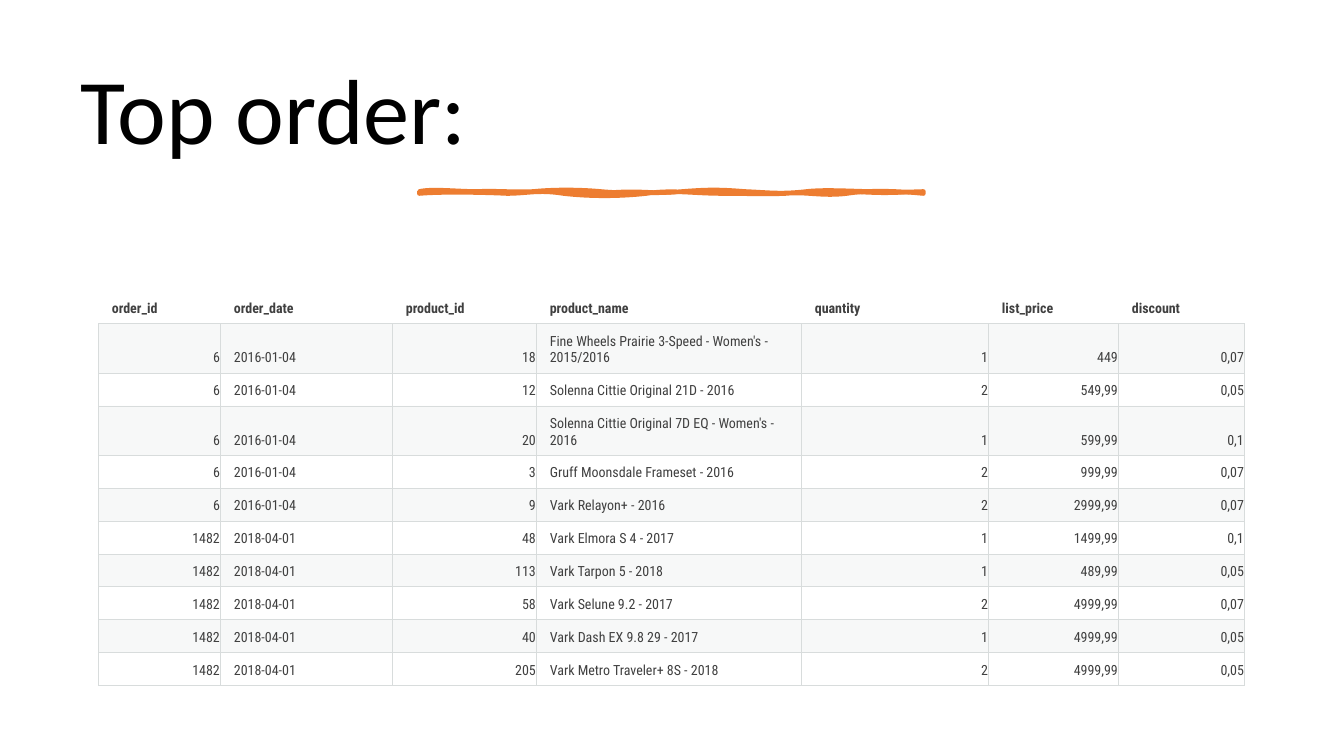
from dataclasses import dataclass

from lxml import etree
from pptx import Presentation, util as u
from pptx.dml.color import RGBColor
from pptx.enum import text
from pptx.oxml import ns

WIDTH, HEIGHT = u.Inches(13.33), u.Inches(7.5)
PLAIN_STYLE = "{2D5ABB26-0587-4C30-8999-92F81FD0307C}"
INK, BORDER, BAND, ORANGE = "404040", "D8DCDC", "D8DEDC", "ED7D31"

Point = tuple[int, int]
Curve = tuple[Point, Point, Point]


@dataclass(frozen=True)
class Column:
    name: str
    share: float
    align: text.PP_ALIGN


@dataclass(frozen=True)
class Contour:
    paint: dict[str, str]
    curves: list[Curve]


LEFT, RIGHT = text.PP_ALIGN.LEFT, text.PP_ALIGN.RIGHT
COLUMNS = [
    Column("order_id", 9.08, RIGHT),
    Column("order_date", 12.8, LEFT),
    Column("product_id", 10.71, RIGHT),
    Column("product_name", 19.72, LEFT),
    Column("quantity", 13.92, RIGHT),
    Column("list_price", 9.67, RIGHT),
    Column("discount", 9.38, RIGHT),
]
SINGLE_ROW, DOUBLE_ROW = 4.35, 6.55
TALL_ROWS = {1, 3}

FIRST_ORDER, SECOND_ORDER = ("6", "2016-01-04"), ("1482", "2018-04-01")
ORDERS = [
    (*FIRST_ORDER, "18", "Fine Wheels Prairie 3-Speed - Women's - 2015/2016", "1", "449", "0,07"),
    (*FIRST_ORDER, "12", "Solenna Cittie Original 21D - 2016", "2", "549,99", "0,05"),
    (*FIRST_ORDER, "20", "Solenna Cittie Original 7D EQ - Women's - 2016", "1", "599,99", "0,1"),
    (*FIRST_ORDER, "3", "Gruff Moonsdale Frameset - 2016", "2", "999,99", "0,07"),
    (*FIRST_ORDER, "9", "Vark Relayon+ - 2016", "2", "2999,99", "0,07"),
    (*SECOND_ORDER, "48", "Vark Elmora S 4 - 2017", "1", "1499,99", "0,1"),
    (*SECOND_ORDER, "113", "Vark Tarpon 5 - 2018", "1", "489,99", "0,05"),
    (*SECOND_ORDER, "58", "Vark Selune 9.2 - 2017", "2", "4999,99", "0,07"),
    (*SECOND_ORDER, "40", "Vark Dash EX 9.8 29 - 2017", "1", "4999,99", "0,05"),
    (*SECOND_ORDER, "205", "Vark Metro Traveler+ 8S - 2018", "2", "4999,99", "0,05"),
]

BRUSH_LEFT, BRUSH_TOP = 31.2, 25.33
BRUSH_UNIT = WIDTH / 1333
BRUSH_LENGTH, BRUSH_DEPTH = 500, 2
BRUSH_CONTOURS = [
    Contour({"fill": "none"}, [
        ((12, -3), (38, 0), (57, 0)), ((76, -1), (93, 1), (113, 0)),
        ((133, -2), (158, -2), (180, 0)), ((201, 2), (237, 2), (261, 0)),
        ((286, -2), (298, -2), (323, 0)), ((347, 1), (358, 3), (384, 0)),
        ((410, -3), (451, 2), (500, 0)), ((501, 1), (500, 1), (500, 2)),
        ((479, 0), (449, -2), (424, 2)), ((399, 5), (385, 0), (363, 2)),
        ((340, 3), (331, 2), (301, 2)), ((271, 2), (251, -2), (225, 2)),
        ((198, 5), (169, 5), (143, 2)), ((118, -2), (107, 2), (87, 2)),
        ((67, 1), (22, 0), (0, 2)), ((0, 1), (0, 0), (0, 0)),
    ]),
    Contour({"stroke": "0"}, [
        ((16, -1), (36, -2), (62, 0)), ((87, 1), (92, 2), (118, 0)),
        ((144, -2), (158, 2), (180, 0)), ((202, -3), (223, -2), (251, 0)),
        ((279, 1), (308, -3), (328, 0)), ((347, 2), (386, -2), (409, 0)),
        ((432, 1), (456, 3), (500, 0)), ((500, 0), (500, 1), (500, 2)),
        ((463, 4), (460, 4), (424, 2)), ((388, -1), (380, 1), (343, 2)),
        ((305, 2), (300, -2), (261, 2)), ((223, 6), (221, 0), (205, 2)),
        ((188, 3), (156, 3), (128, 2)), ((101, 0), (88, 1), (62, 2)),
        ((36, 2), (25, -1), (0, 2)), ((0, 1), (0, 0), (0, 0)),
    ]),
]


def across(percent: float) -> u.Emu:
    return u.Emu(round(WIDTH * percent / 100))


def down(percent: float) -> u.Emu:
    return u.Emu(round(HEIGHT * percent / 100))


def color(code: str) -> RGBColor:
    return RGBColor.from_string(code)


def add_title(page, wording: str) -> None:
    title = page.shapes.title
    title.left, title.top = across(5.25), down(6.05)
    title.width, title.height = across(89.5), down(18.27)
    frame = title.text_frame
    frame.text = wording
    frame.auto_size = text.MSO_AUTO_SIZE.NONE
    frame.vertical_anchor = text.MSO_ANCHOR.MIDDLE
    para = frame.paragraphs[0]
    para.alignment, para.line_spacing = LEFT, 0.9
    para.font.name, para.font.size = "Calibri", u.Pt(66)
    para.font.color.rgb = color("000000")


def add_step(outline, command: str, points: tuple[Point, ...]) -> None:
    step = etree.SubElement(outline, ns.qn(f"a:{command}"))
    for x, y in points:
        etree.SubElement(step, ns.qn("a:pt"), x=str(x), y=str(y))


def add_brush_stroke(page) -> None:
    left, top = across(BRUSH_LEFT), down(BRUSH_TOP)
    right, bottom = left + BRUSH_LENGTH * BRUSH_UNIT, top + BRUSH_DEPTH * BRUSH_UNIT
    builder = page.shapes.build_freeform(left, top)
    builder.add_line_segments([(right, top), (right, bottom), (left, bottom)])
    stroke = builder.convert_to_shape()
    outlines = stroke._element.find(f".//{ns.qn('a:pathLst')}")
    outlines.clear()
    for contour in BRUSH_CONTOURS:
        outline = etree.SubElement(
            outlines, ns.qn("a:path"), w=str(BRUSH_LENGTH), h=str(BRUSH_DEPTH), **contour.paint
        )
        add_step(outline, "moveTo", ((0, 0),))
        for curve in contour.curves:
            add_step(outline, "cubicBezTo", curve)
        etree.SubElement(outline, ns.qn("a:close"))
    stroke.shadow.inherit = False
    stroke.fill.solid()
    stroke.fill.fore_color.rgb = color(ORANGE)
    stroke.line.color.rgb = color(ORANGE)
    stroke.line.width = u.Pt(3.25)


def add_borders(cell, sides: str) -> None:
    properties = cell._tc.get_or_add_tcPr()
    for index, side in enumerate(sides):
        line = etree.Element(ns.qn(f"a:ln{side}"), w=str(u.Pt(0.75)))
        fill = etree.SubElement(line, ns.qn("a:solidFill"))
        etree.SubElement(fill, ns.qn("a:srgbClr"), val=BORDER)
        properties.insert(index, line)


def fill_cell(cell, banded: bool) -> None:
    if not banded:
        cell.fill.background()
        return
    cell.fill.solid()
    cell.fill.fore_color.rgb = color(BAND)
    shade = cell._tc.tcPr.find(f".//{ns.qn('a:srgbClr')}")
    etree.SubElement(shade, ns.qn("a:alpha"), val="20000")


def write_cell(cell, wording: str, align: text.PP_ALIGN, bold: bool) -> None:
    cell.text = wording
    cell.vertical_anchor = text.MSO_ANCHOR.BOTTOM
    cell.margin_left, cell.margin_right = u.Inches(0.13), u.Inches(0.01)
    cell.margin_top = cell.margin_bottom = u.Inches(0.07)
    para = cell.text_frame.paragraphs[0]
    para.alignment = align
    para.font.name, para.font.size = "Roboto Condensed", u.Pt(10)
    para.font.bold = bold
    para.font.color.rgb = color(INK)


def add_order_table(page) -> None:
    rows = [tuple(column.name for column in COLUMNS), *ORDERS]
    heights = [DOUBLE_ROW if index in TALL_ROWS else SINGLE_ROW for index in range(len(rows))]
    table = page.shapes.add_table(
        len(rows), len(COLUMNS), across(7.35), down(38.46),
        across(sum(column.share for column in COLUMNS)), down(sum(heights)),
    ).table
    table.first_row = table.horz_banding = False
    table._tbl.tblPr.find(ns.qn("a:tableStyleId")).text = PLAIN_STYLE
    for index, column in enumerate(COLUMNS):
        table.columns[index].width = across(column.share)
    for row, (values, height) in enumerate(zip(rows, heights)):
        table.rows[row].height = down(height)
        header = row == 0
        for index, (column, value) in enumerate(zip(COLUMNS, values)):
            cell = table.cell(row, index)
            write_cell(cell, value, LEFT if header else column.align, header)
            fill_cell(cell, row % 2 == 1)
            add_borders(cell, "B" if header else "LRTB")


def main() -> None:
    deck = Presentation()
    deck.slide_width, deck.slide_height = WIDTH, HEIGHT
    page = deck.slides.add_slide(deck.slide_layouts[0])
    subtitle = page.placeholders[1].element
    subtitle.getparent().remove(subtitle)
    add_title(page, "Top order:")
    add_brush_stroke(page)
    add_order_table(page)
    deck.save("out.pptx")


if __name__ == "__main__":
    main()
